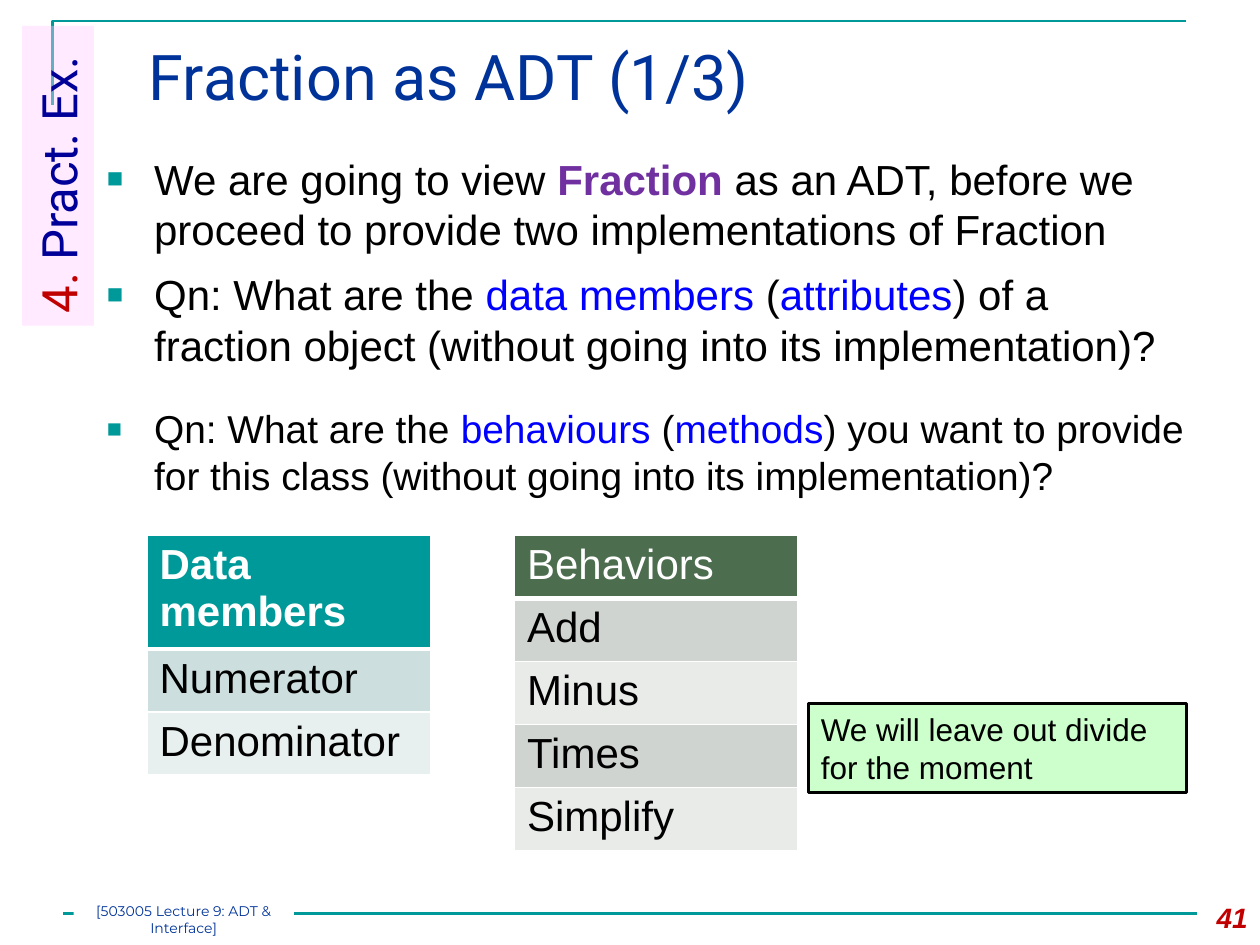
from lxml.etree import SubElement
from pptx import Presentation
from pptx.dml.color import RGBColor
from pptx.enum.shapes import MSO_CONNECTOR, MSO_SHAPE
from pptx.enum.text import MSO_ANCHOR, PP_ALIGN
from pptx.oxml import parse_xml
from pptx.oxml.ns import nsdecls, qn
from pptx.util import Inches, Pt

TEAL, NAVY, RED, BLUE = "009999", "003399", "C00000", "0000FF"
BLACK, WHITE = "000000", "FFFFFF"
U = Inches(1) / 12  # grid unit: the slide is 120 columns by 90 rows


def rgb(color):
    return RGBColor.from_string(color)


def write(tf, runs, size, font="Arial", align=PP_ALIGN.LEFT):
    """Fill the first paragraph with (text, colour, bold) runs and return it."""
    tf.word_wrap = True
    tf.vertical_anchor = MSO_ANCHOR.TOP
    p = tf.paragraphs[0]
    p.alignment = align
    p.font.size, p.font.name = Pt(size), font
    for text, color, bold in runs:
        r = p.add_run()
        r.text = text
        r.font.color.rgb = rgb(color)
        r.font.bold = bold
    return p


prs = Presentation()
prs.slide_width, prs.slide_height = int(120 * U), int(90 * U)
s = prs.slides.add_slide(prs.slide_layouts[6])

# Frame lines
builder = s.shapes.build_freeform(5, 10, scale=U)
builder.add_line_segments([(5, 2), (113, 2)], close=False)
corner = builder.convert_to_shape()
corner.shadow.inherit = False
corner.fill.background()
rule = s.shapes.add_connector(MSO_CONNECTOR.STRAIGHT, *(int(v * U) for v in (6, 87, 114, 87)))
SubElement(rule._element.spPr, qn("a:effectLst"))
for sp in (corner, rule):
    sp.line.color.rgb = rgb(TEAL)
    sp.line.width = Pt(1.5)

# Title and page number
title = s.shapes.add_textbox(*(int(v * U) for v in (13, 3, 104, 10.3)))
write(title.text_frame, [("Fraction as ADT (1/3)", NAVY, False)], 36, "Roboto")
number = s.shapes.add_textbox(*(int(v * U) for v in (112, 85.2, 8, 4.8)))
p = write(number.text_frame, [("41", RED, True)], 16, align=PP_ALIGN.RIGHT)
p.font.italic = True
p.runs[0].font.italic = True

# Filled boxes: section tab, callout, footer
boxes = [
    ((-8.76, 13.32, 28.56, 6.84), "FFCCFF", 28, "Roboto", PP_ALIGN.LEFT,
     [("4. ", RED, False), ("Pract. Ex.", "000099", False)]),
    ((77, 67, 36, 8.5), "CCFFCC", 18, "Arial", PP_ALIGN.LEFT,
     [("We will leave out divide for the moment", BLACK, False)]),
    ((7, 86, 21, 2), WHITE, 8, "Montserrat", PP_ALIGN.CENTER,
     [("[503005 Lecture 9: ADT & Interface]", NAVY, False)]),
]
drawn = []
for place, fill, size, font, align, runs in boxes:
    sp = s.shapes.add_shape(MSO_SHAPE.RECTANGLE, *(int(v * U) for v in place))
    sp.shadow.inherit = False
    sp.fill.solid()
    sp.fill.fore_color.rgb = rgb(fill)
    sp.line.fill.background()
    write(sp.text_frame, runs, size, font, align)
    drawn.append(sp)
tab, callout, footer = drawn
tab.rotation = 270
SubElement(tab._element.spPr.find(qn("a:solidFill"))[0], qn("a:alpha"), val="40000")
callout.line.color.rgb = rgb(BLACK)
callout.line.width = Pt(2)
tf = footer.text_frame
tf.margin_left = tf.margin_right = tf.margin_top = tf.margin_bottom = 0

# Bulleted statements
bullets = [
    (14, 24, [("We are going to view ", BLACK, False), ("Fraction", "7030A0", True),
              (" as an ADT, before we proceed to provide two implementations of Fraction",
               BLACK, False)]),
    (25, 24, [("Qn: What are the ", BLACK, False), ("data members ", BLUE, False),
              ("(", BLACK, False), ("attributes", BLUE, False),
              (") of a fraction object (without going into its implementation)?",
               BLACK, False)]),
    (38, 22.2, [("Qn: What are the ", BLACK, False), ("behaviours ", BLUE, False),
                ("(", BLACK, False), ("methods", BLUE, False),
                (") you want to provide for this class (without going into its "
                 "implementation)?", BLACK, False)]),
]
for row, size, runs in bullets:
    sp = s.shapes.add_textbox(*(int(v * U) for v in (9, row, 105, 12)))
    p = write(sp.text_frame, runs, size)
    p.space_before = Pt(6)
    pPr = p._p.get_or_add_pPr()
    pPr.set("marL", str(int(4.5 * U)))
    pPr.set("indent", str(int(-4.5 * U)))
    marks = [
        f'<a:buClr {nsdecls("a")}><a:srgbClr val="{TEAL}"/></a:buClr>',
        f'<a:buSzPct {nsdecls("a")} val="65000"/>',
        f'<a:buFont {nsdecls("a")} typeface="Arial"/>',
        f'<a:buChar {nsdecls("a")} char="■"/>',
    ]
    at = pPr.index(pPr.find(qn("a:defRPr")))
    for i, mark in enumerate(marks):
        pPr.insert(at + i, parse_xml(mark))

# One-column tables: a header over two alternating tints
tables = [
    (14, ["Data members", "Numerator", "Denominator"], True, TEAL, ("CCDEDE", "E7EFEF")),
    (49, ["Behaviors", "Add", "Minus", "Times", "Simplify"], False, "4C6D4E",
     ("D0D4D0", "E9EBE9")),
]
for col, words, bold, head, tints in tables:
    place = (int(v * U) for v in (col, 51, 27, 4.9 * len(words)))
    table = s.shapes.add_table(len(words), 1, *place).table
    for i, word in enumerate(words):
        cell = table.cell(i, 0)
        tcPr = cell._tc.get_or_add_tcPr()
        for side in "LRTB":
            width = 3 if (i, side) in ((0, "B"), (1, "T")) else 1
            ln = SubElement(tcPr, qn(f"a:ln{side}"), w=str(Pt(width)))
            SubElement(SubElement(ln, qn("a:solidFill")), qn("a:srgbClr"), val=WHITE)
        cell.fill.solid()
        cell.fill.fore_color.rgb = rgb(tints[(i - 1) % 2] if i else head)
        p = write(cell.text_frame, [(word, BLACK if i else WHITE, bold and i == 0)], 24)

prs.save("out.pptx")
